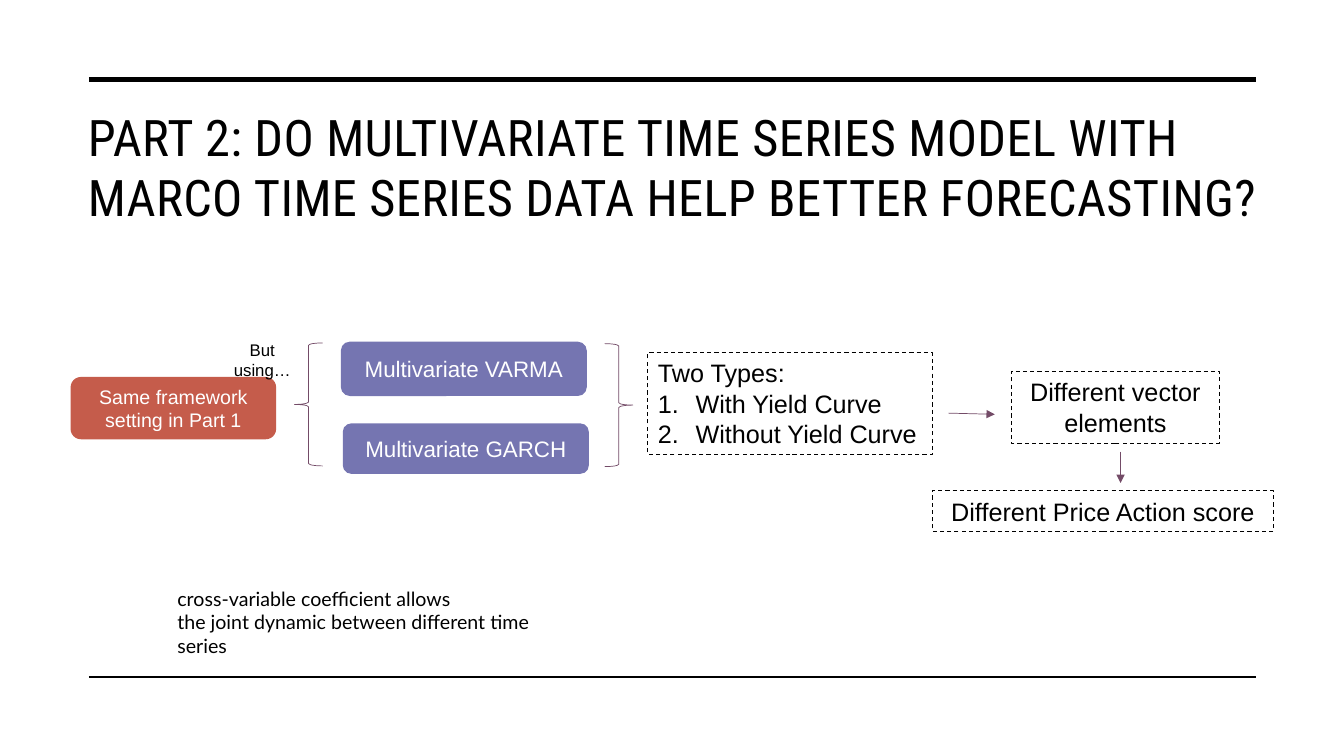
from pptx import Presentation, util as u
from pptx.dml.color import RGBColor
from pptx.enum import dml, shapes, text
from pptx.oxml.ns import qn
from lxml import etree

BLACK, WHITE, RED, VIOLET, PLUM = "000000", "FFFFFF", "C55C4B", "7575B1", "734B67"
LEFT, CENTER = text.PP_ALIGN.LEFT, text.PP_ALIGN.CENTER
NUMBER_INDENT = u.Cm(0.95)


def colour(code):
    return RGBColor.from_string(code)


def number(para):
    """Give a paragraph an automatic number with a hanging indent."""
    props = para._p.get_or_add_pPr()
    props.set("marL", str(NUMBER_INDENT))
    props.set("indent", str(-NUMBER_INDENT))
    etree.SubElement(props, qn("a:buFont"), typeface="+mj-lt")
    etree.SubElement(props, qn("a:buAutoNum"), type="arabicPeriod")


class FlowSlide:
    font = "Arial"

    def __init__(self, deck):
        self.page = deck.slides.add_slide(deck.slide_layouts[5])

    def fill_text(self, box, lines, size, ink=BLACK, align=CENTER, font=None,
                  anchor=text.MSO_ANCHOR.TOP, wrap=True, numbered=False):
        """Fill a box with one paragraph a line; numbering skips the first."""
        frame = box.text_frame
        frame.word_wrap = wrap
        frame.auto_size = text.MSO_AUTO_SIZE.NONE
        frame.vertical_anchor = anchor
        frame.text = "\n".join(lines)
        for index, para in enumerate(frame.paragraphs):
            if numbered and index:
                number(para)
            para.alignment = align
            para.font.name = font or self.font
            para.font.size = u.Pt(size)
            para.font.color.rgb = colour(ink)

    def title(self, words, left, top, width, height):
        box = self.page.shapes.title
        box.left, box.top, box.width, box.height = map(u.Cm, (left, top, width, height))
        self.fill_text(box, [words], 36, align=LEFT, font="Roboto Condensed")
        para = box.text_frame.paragraphs[0]
        para.line_spacing = 1.0
        para.runs[0].font._element.set("spc", "30")

    def shape(self, kind, place, fill=None, line=None, weight=0.5):
        box = self.page.shapes.add_shape(kind, *map(u.Cm, place))
        box.shadow.inherit = False
        if fill:
            box.fill.solid()
            box.fill.fore_color.rgb = colour(fill)
        else:
            box.fill.background()
        if line:
            box.line.color.rgb = colour(line)
            box.line.width = u.Pt(weight)
        else:
            box.line.fill.background()
        return box

    def card(self, words, place, fill, size):
        box = self.shape(shapes.MSO_SHAPE.ROUNDED_RECTANGLE, place, fill)
        self.fill_text(box, [words], size, WHITE, anchor=text.MSO_ANCHOR.MIDDLE)

    def dashed(self, lines, place, **style):
        box = self.shape(shapes.MSO_SHAPE.RECTANGLE, place, line=BLACK, weight=0.75)
        box.line.dash_style = dml.MSO_LINE.DASH
        self.fill_text(box, lines, 18, **style)

    def brace(self, left, top, turn=0):
        box = self.shape(shapes.MSO_SHAPE.RIGHT_BRACE, (left, top, 0.71, 3.1), line=PLUM)
        box.rotation = turn

    def note(self, lines, place, size, **style):
        box = self.page.shapes.add_textbox(*map(u.Cm, place))
        self.fill_text(box, lines, size, **style)

    def line(self, ends, ink, weight, arrow=False):
        link = self.page.shapes.add_connector(
            shapes.MSO_CONNECTOR.STRAIGHT, *map(u.Cm, ends))
        link.line.color.rgb = colour(ink)
        link.line.width = u.Pt(weight)
        if arrow:
            etree.SubElement(link.line._get_or_add_ln(), qn("a:tailEnd"), type="triangle")
        etree.SubElement(link._element.spPr, qn("a:effectLst"))


def main():
    deck = Presentation()
    deck.slide_width, deck.slide_height = u.Cm(33.87), u.Cm(19.05)
    slide = FlowSlide(deck)

    for height, weight in ((2, 3.5), (17.06, 1)):
        slide.line((2.24, height, 31.65, height), BLACK, weight)
    slide.title("PART 2: DO MULTIVARIATE TIME SERIES MODEL WITH MARCO TIME SERIES "
                "DATA HELP BETTER FORECASTING?", 1.96, 2.54, 31.9, 3.63)

    slide.card("Same framework setting in Part 1", (1.78, 9.5, 5.18, 1.57), RED, 14)
    slide.card("Multivariate VARMA", (8.59, 8.61, 6.2, 1.37), VIOLET, 16)
    slide.card("Multivariate GARCH", (8.64, 10.67, 6.2, 1.27), VIOLET, 16)
    slide.brace(7.42, 8.64, turn=180)
    slide.brace(15.24, 8.66)

    slide.dashed(["Two Types:", "With Yield Curve", "Without Yield Curve"],
                 (16.33, 8.89, 7.16, 2.57), align=LEFT, wrap=False, numbered=True)
    slide.dashed(["Different vector elements"], (25.48, 9.37, 5.26, 1.8))
    slide.dashed(["Different Price Action score"], (23.5, 12.37, 8.59, 1.02))
    for ends in ((23.9, 10.41, 25.07, 10.44), (28.24, 11.38, 28.24, 12.17)):
        slide.line(ends, PLUM, 0.5, arrow=True)

    slide.note(["But using…"], (5.53, 8.43, 2.16, 1.2), 12)
    slide.note(["cross-variable coefficient allows",
                "the joint dynamic between different time series"],
               (4.22, 14.66, 10.64, 1.45), 14, align=LEFT, font="Lato")
    deck.save("out.pptx")


if __name__ == "__main__":
    main()
